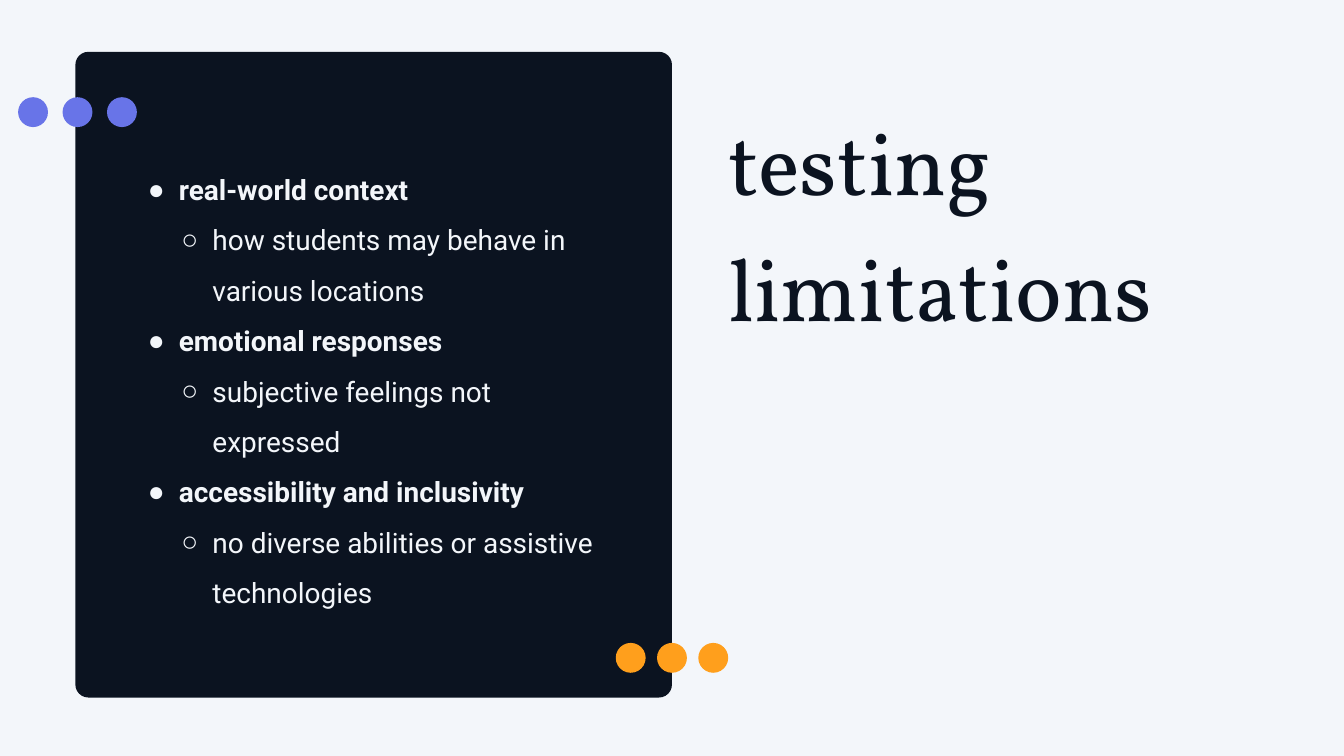
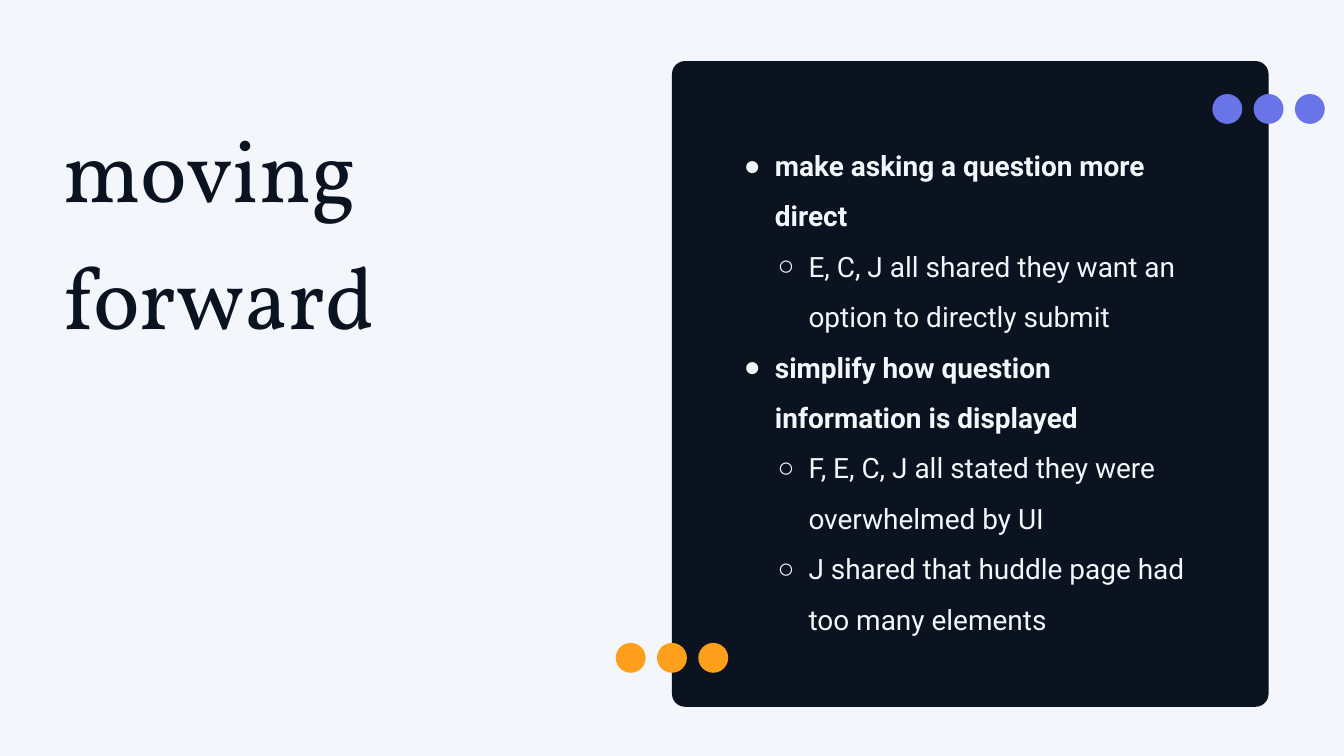
from lxml import etree
from pptx import Presentation
from pptx import util as u
from pptx.dml.color import RGBColor
from pptx.enum import shapes, text
from pptx.oxml.ns import qn

PALE, NAVY, ORANGE, VIOLET = "F3F6FA", "0B1320", "FF9F1C", "6874E8"
TITLE_FONT, BODY_FONT = "Vollkorn", "Roboto"
WIDTH, HEIGHT = 50.8, 28.58
MIDDLE = WIDTH / 2
PANEL_W, PANEL_H, PANEL_RADIUS = 22.55, 24.41, 0.49
DOT, DOT_STEP = 1.13, 1.56
BULLETS = "●○"


def rgb(value):
    return RGBColor.from_string(value)


class Deck:
    def __init__(self):
        self.prs = Presentation()
        self.prs.slide_width = u.Cm(WIDTH)
        self.prs.slide_height = u.Cm(HEIGHT)

    def slide(self):
        self.s = self.prs.slides.add_slide(self.prs.slide_layouts[1])
        fill = self.s.background.fill
        fill.solid()
        fill.fore_color.rgb = rgb(PALE)

    def shape(self, kind, left, top, width, height, color):
        sp = self.s.shapes.add_shape(
            kind, u.Cm(left), u.Cm(top), u.Cm(width), u.Cm(height))
        sp.shadow.inherit = False
        sp.fill.solid()
        sp.fill.fore_color.rgb = rgb(color)
        sp.line.fill.background()
        return sp

    def panel(self, left, top):
        sp = self.shape(shapes.MSO_SHAPE.ROUNDED_RECTANGLE,
                        left, top, PANEL_W, PANEL_H, NAVY)
        sp.adjustments[0] = PANEL_RADIUS / PANEL_W

    def dots(self, center_x, center_y, color, step=DOT_STEP):
        for i in (-1, 0, 1):
            self.shape(shapes.MSO_SHAPE.OVAL, center_x + i * step - DOT / 2,
                       center_y - DOT / 2, DOT, DOT, color)

    def place(self, sp, left, top, width, height):
        sp.left, sp.top = u.Cm(left), u.Cm(top)
        sp.width, sp.height = u.Cm(width), u.Cm(height)
        self.s.shapes._spTree.append(sp._element)
        tf = sp.text_frame
        tf.margin_left = tf.margin_top = tf.margin_right = tf.margin_bottom = 0
        tf.word_wrap = True
        tf.auto_size = text.MSO_AUTO_SIZE.NONE
        tf.vertical_anchor = text.MSO_ANCHOR.TOP
        return tf

    def format(self, p, spacing, font, size, color, bold=False):
        p.alignment = text.PP_ALIGN.LEFT
        p.line_spacing = spacing
        p.space_before = p.space_after = u.Pt(0)
        for r in p.runs:
            r.font.name = font
            r.font.size = u.Pt(size)
            r.font.bold = bold
            r.font.color.rgb = rgb(color)

    def title(self, words, left, top):
        tf = self.place(self.s.shapes.title, left, top, 20.9, 8.84)
        tf.text = words
        self.format(tf.paragraphs[0], 1.2, TITLE_FONT, 94, NAVY)

    def bullet(self, p, level):
        pPr = p._p.get_or_add_pPr()
        pPr.set("marL", str(u.Cm(1.27 * (level + 1))))
        pPr.set("indent", str(u.Cm(-1.17)))
        color = etree.SubElement(pPr, qn("a:buClr"))
        etree.SubElement(color, qn("a:srgbClr"), val=PALE)
        etree.SubElement(pPr, qn("a:buChar"), char=BULLETS[level])

    def points(self, items, left, top, height):
        tf = self.place(self.s.placeholders[1], left, top, 17.3, height)
        for i, (level, words) in enumerate(items):
            p = tf.add_paragraph() if i else tf.paragraphs[0]
            p.text = words
            p.level = level
            self.bullet(p, level)
            self.format(p, 1.5, BODY_FONT, 30, PALE, bold=level == 0)


def main():
    deck = Deck()

    deck.slide()
    deck.panel(MIDDLE - PANEL_W, 1.96)
    deck.points([
        (0, "real-world context"),
        (1, "how students may behave in various locations"),
        (0, "emotional responses"),
        (1, "subjective feelings not expressed"),
        (0, "accessibility and inclusivity"),
        (1, "no diverse abilities or assistive technologies"),
    ], 5.49, 5.89, 16.66)
    deck.title("testing limitations", 27.53, 3.28)
    deck.dots(MIDDLE, 24.87, ORANGE)
    deck.dots(2.93, 4.24, VIOLET, step=1.68)

    deck.slide()
    deck.panel(MIDDLE, 2.31)
    deck.points([
        (0, "make asking a question more direct"),
        (1, "E, C, J all shared they want an option to directly submit"),
        (0, "simplify how question information is displayed"),
        (1, "F, E, C, J all stated they were overwhelmed by UI"),
        (1, "J shared that huddle page had too many elements"),
    ], 28.02, 4.98, 18.59)
    deck.title("moving forward", 2.39, 3.56)
    deck.dots(MIDDLE + PANEL_W, 4.12, VIOLET)
    deck.dots(MIDDLE, 24.87, ORANGE)

    deck.prs.save("out.pptx")


if __name__ == "__main__":
    main()
